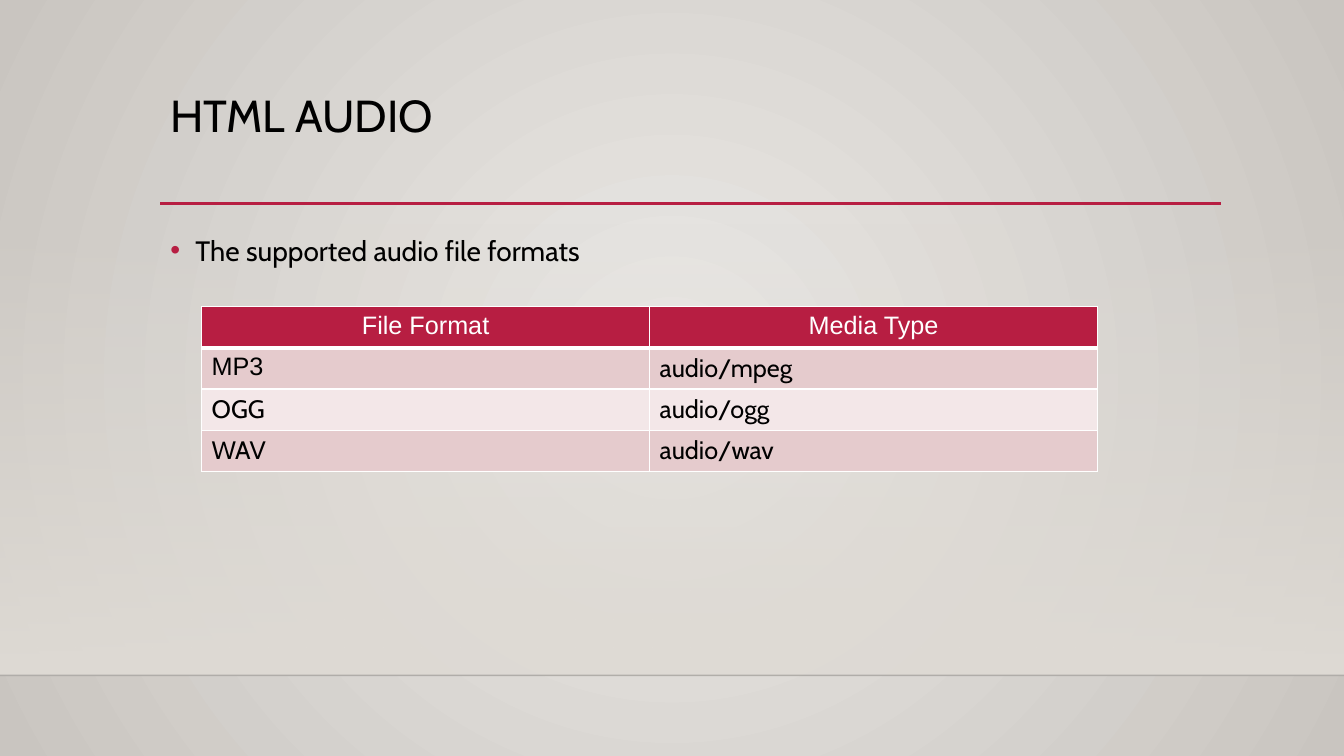
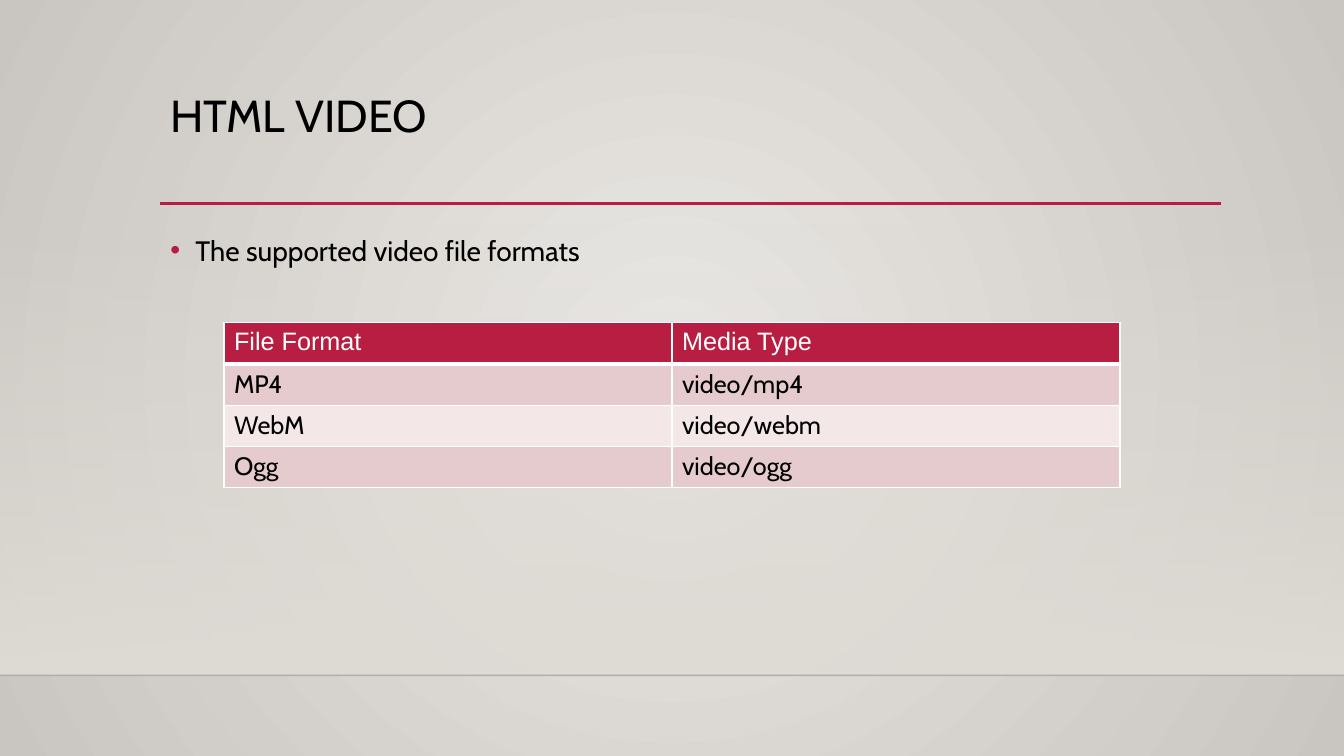
from pptx import Presentation
from pptx.dml.color import RGBColor
from pptx.enum.shapes import MSO_CONNECTOR, MSO_SHAPE
from pptx.enum.text import MSO_ANCHOR, MSO_AUTO_SIZE, PP_ALIGN
from pptx.oxml.ns import qn
from pptx.util import Inches, Pt
from lxml.etree import SubElement

COLORS = {
    "black": "000000", "white": "FFFFFF", "accent": "B71E42",
    "row_odd": "E5CBCD", "row_even": "F3E7E8", "band": "DFDBD5",
    "bg_center": "EBE9E6", "bg_edge": "C9C5C0", "floor": "000001",
}
COLS, ROWS = 120, 75  # grid over the whole slide
LEFT, WIDTH = 14.3, 94.5  # text column, in grid columns


def rgb(name):
    return RGBColor.from_string(COLORS[name])


def set_alpha(element, percent):
    """Set the opacity of the first colour inside element."""
    color = element.find(".//" + qn("a:srgbClr"))
    SubElement(color, qn("a:alpha"), val=str(percent * 1000))


class Deck:
    def __init__(self):
        self.prs = Presentation()
        self.prs.slide_width, self.prs.slide_height = Inches(13.33), Inches(7.5)
        self.layout = self.prs.slide_layouts[1]
        self.s = None

    def x(self, cols):
        return round(self.prs.slide_width * cols / COLS)

    def y(self, rows):
        return round(self.prs.slide_height * rows / ROWS)

    def box(self, left, top, width, height):
        return self.x(left), self.y(top), self.x(width), self.y(height)

    def new_slide(self):
        first = self.s is None
        self.s = self.prs.slides.add_slide(self.layout)
        if first:
            self.frame()

    # Shared background, band and rules, kept on the layout
    def frame(self):
        fill = self.layout.background.fill
        self.gradient(fill, "bg_center", "bg_edge")
        grad = self.layout.element.find(".//" + qn("a:gradFill"))
        grad.remove(grad.find(qn("a:lin")))
        circle = SubElement(grad, qn("a:path"), path="circle")
        SubElement(circle, qn("a:fillToRect"), l="50000", t="50000", r="50000", b="50000")

        band = self.s.shapes.add_shape(MSO_SHAPE.RECTANGLE, *self.box(0, 22.1, COLS, 44.9))
        band.shadow.inherit = False
        band.line.fill.background()
        self.gradient(band.fill, "band", "band")
        band.fill.gradient_angle = 270
        set_alpha(band.element.spPr.find(qn("a:gradFill")), 0)

        floor = self.rule(0, COLS, 67, "floor", 1)
        set_alpha(floor.element.spPr, 20)
        title_rule = self.rule(LEFT, 109, 20.2, "accent", 2.5)

        tree = self.layout.element.cSld.spTree
        for i, shape in enumerate((band, floor, title_rule)):
            tree.insert(2 + i, shape.element)

    def gradient(self, fill, start, end):
        fill.gradient()
        for stop, name, position in zip(fill.gradient_stops, (start, end), (0, 1)):
            stop.color.rgb = rgb(name)
            stop.position = position

    def rule(self, start, end, row, color, width):
        line = self.s.shapes.add_connector(
            MSO_CONNECTOR.STRAIGHT, self.x(start), self.y(row), self.x(end), self.y(row))
        line.line.color.rgb = rgb(color)
        line.line.width = Pt(width)
        SubElement(line.element.spPr, qn("a:effectLst"))
        return line

    def run(self, p, text, size, color="black", font="Cabin"):
        r = p.add_run()
        r.text = text
        r.font.name, r.font.size, r.font.bold = font, Pt(size), False
        r.font.color.rgb = rgb(color)

    def placeholder(self, sp, top, height, spacing):
        """Place a placeholder and return its first paragraph."""
        sp.left, sp.top, sp.width, sp.height = self.box(LEFT, top, WIDTH, height)
        tf = sp.text_frame
        tf.word_wrap, tf.auto_size = True, MSO_AUTO_SIZE.NONE
        tf.vertical_anchor = MSO_ANCHOR.TOP
        p = tf.paragraphs[0]
        p.alignment, p.line_spacing, p.space_before = PP_ALIGN.LEFT, spacing, Pt(0)
        return p

    def title(self, text):
        p = self.placeholder(self.s.shapes.title, 8.8, 11.5, 0.9)
        self.run(p, text, 32)

    def bullet(self, text):
        p = self.placeholder(self.s.placeholders[1], 22, 37.7, 1.2)
        pPr = p._p.get_or_add_pPr()
        pPr.set("marL", str(Inches(0.25)))
        pPr.set("indent", str(-Inches(0.25)))
        SubElement(SubElement(pPr, qn("a:buClr")), qn("a:srgbClr"), val=COLORS["accent"])
        SubElement(pPr, qn("a:buFont"), typeface="Arial")
        SubElement(pPr, qn("a:buChar"), char="•")
        self.run(p, text, 20)

    def borders(self, cell, top, bottom):
        tcPr = cell._tc.get_or_add_tcPr()
        for side, width in (("L", 1), ("R", 1), ("T", top), ("B", bottom)):
            ln = SubElement(tcPr, qn("a:ln" + side), w=str(Pt(width)))
            SubElement(SubElement(ln, qn("a:solidFill")), qn("a:srgbClr"), val=COLORS["white"])

    def table(self, left, top, rows, header_align=PP_ALIGN.LEFT, arial=()):
        """Draw a two-column table; cells listed in arial use that font."""
        row_height, col_width = 4.1, 40
        table = self.s.shapes.add_table(len(rows), 2, *self.box(
            left, top, 2 * col_width, len(rows) * row_height)).table
        for i, row in enumerate(rows):
            header = i == 0
            fill = "accent" if header else "row_odd" if i % 2 else "row_even"
            for j, text in enumerate(row):
                cell = table.cell(i, j)
                self.borders(cell, 3 if i == 1 else 1, 3 if header else 1)
                cell.fill.solid()
                cell.fill.fore_color.rgb = rgb(fill)
                p = cell.text_frame.paragraphs[0]
                p.alignment = header_align if header else PP_ALIGN.LEFT
                self.run(p, text, 18, "white" if header else "black",
                         "Arial" if header or text in arial else "Cabin")


def main():
    deck = Deck()
    header = ("File Format", "Media Type")

    # Audio formats
    deck.new_slide()
    deck.title("HTML AUDIO")
    deck.bullet("The supported audio file formats")
    deck.table(18, 30.4, [header, ("MP3", "audio/mpeg"), ("OGG", "audio/ogg"),
                          ("WAV", "audio/wav")], PP_ALIGN.CENTER, arial=("MP3",))

    # Video formats
    deck.new_slide()
    deck.title("HTML VIDEO")
    deck.bullet("The supported video file formats")
    deck.table(20, 32, [header, ("MP4", "video/mp4"), ("WebM", "video/webm"),
                        ("Ogg", "video/ogg")])

    deck.prs.save("out.pptx")


if __name__ == "__main__":
    main()
